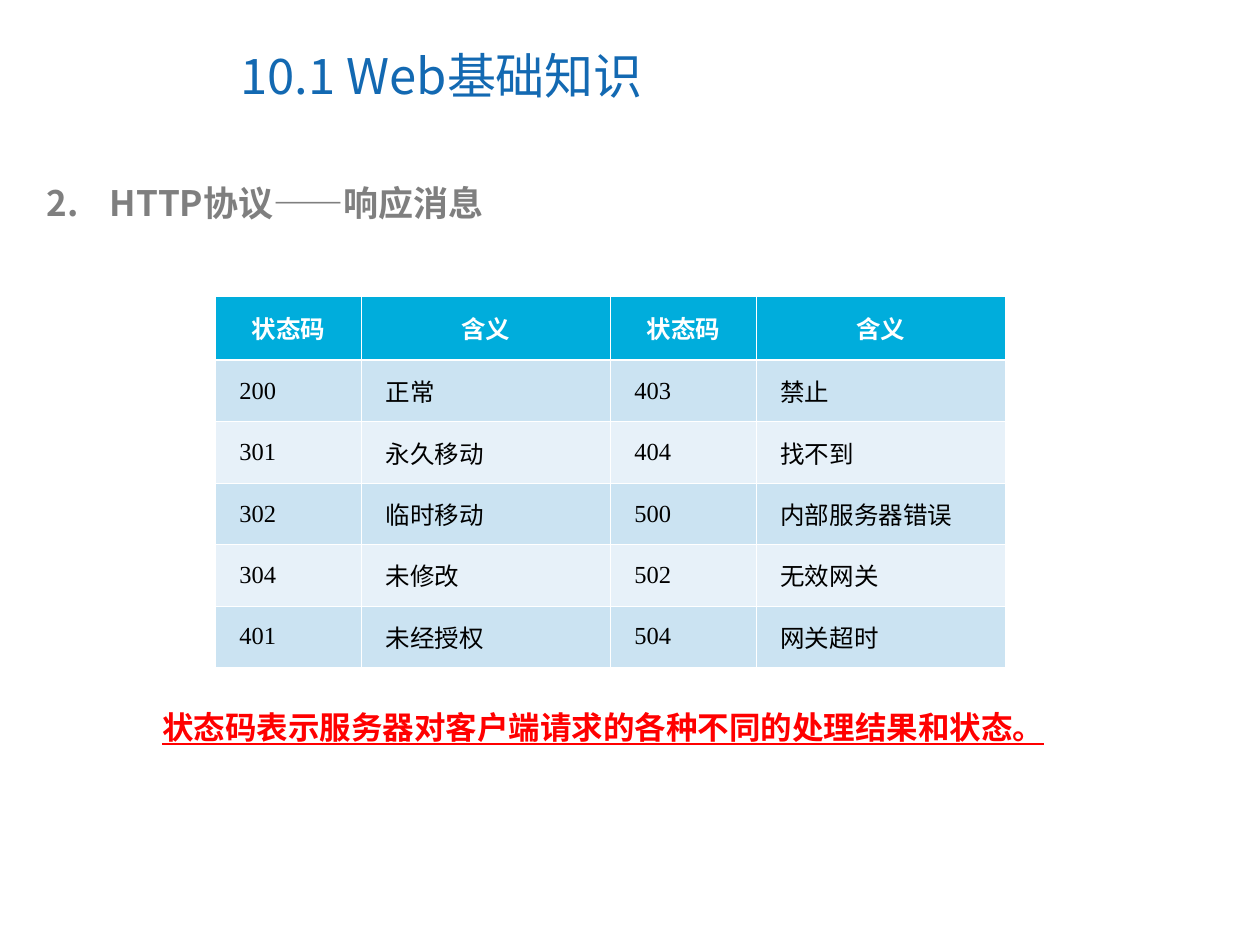
from lxml import etree
from pptx import Presentation, util as u
from pptx.dml.color import RGBColor
from pptx.enum import text
from pptx.oxml.ns import qn

BLUE = RGBColor(0x13, 0x69, 0xB2)
GREY = RGBColor(0x7F, 0x7F, 0x7F)
RED = RGBColor(0xFF, 0x00, 0x00)
WHITE = RGBColor(0xFF, 0xFF, 0xFF)
BLACK = RGBColor(0x00, 0x00, 0x00)
HEADER = RGBColor(0x00, 0xAD, 0xDC)
BANDS = [RGBColor(0xE7, 0xF1, 0xF9), RGBColor(0xCB, 0xE3, 0xF2)]
CJK = "Noto Sans CJK SC"


def style(p, font, size, color, bold=False, underline=None):
    for r in p.runs:
        r.font.name, r.font.size, r.font.bold = font, u.Pt(size), bold
        r.font.underline = underline
        r.font.color.rgb = color
        ea = etree.SubElement(r._r.get_or_add_rPr(), qn("a:ea"))
        ea.set("typeface", CJK)


def add_border(cell, side, width):
    ln = etree.SubElement(cell._tc.get_or_add_tcPr(), qn("a:" + side), w=str(u.Pt(width)))
    fill = etree.SubElement(ln, qn("a:solidFill"))
    etree.SubElement(fill, qn("a:srgbClr"), val=str(WHITE))


prs = Presentation()
prs.slide_width, prs.slide_height = u.Inches(10), u.Inches(7.5)
s = prs.slides.add_slide(prs.slide_layouts[1])

# Grid of 100 columns by 100 rows
col, row = prs.slide_width / 100, prs.slide_height / 100

# Title
sp = s.shapes.title
sp.left, sp.top = int(18.1 * col), int(2.27 * row)
sp.width, sp.height = int(51.6 * col), int(11.33 * row)
tf = sp.text_frame
tf.text = "10.1 Web基础知识"
tf.vertical_anchor = text.MSO_ANCHOR.MIDDLE
tf.auto_size = text.MSO_AUTO_SIZE.NONE
tf.paragraphs[0].alignment = text.PP_ALIGN.LEFT
style(tf.paragraphs[0], CJK, 28, BLUE)

# Numbered heading
sp = s.placeholders[1]
sp.left, sp.top = int(2.7 * col), int(18.53 * row)
sp.width, sp.height = int(92.2 * col), int(5.87 * row)
tf = sp.text_frame
tf.text = "HTTP协议——响应消息"
tf.auto_size = text.MSO_AUTO_SIZE.SHAPE_TO_FIT_TEXT
p = tf.paragraphs[0]
p.space_before = u.Pt(0)
pPr = p._p.get_or_add_pPr()
pPr.set("marL", str(u.Inches(0.5)))
pPr.set("indent", str(u.Inches(-0.5)))
bullet_color = etree.SubElement(pPr, qn("a:buClr"))
etree.SubElement(bullet_color, qn("a:srgbClr"), val=str(GREY))
etree.SubElement(pPr, qn("a:buFont"), typeface="+mj-lt")
etree.SubElement(pPr, qn("a:buAutoNum"), type="arabicPeriod", startAt="2")
style(p, CJK, 20, GREY, bold=True)

# Status code table
rows = [
    ["状态码", "含义", "状态码", "含义"],
    ["200", "正常", "403", "禁止"],
    ["301", "永久移动", "404", "找不到"],
    ["302", "临时移动", "500", "内部服务器错误"],
    ["304", "未修改", "502", "无效网关"],
    ["401", "未经授权", "504", "网关超时"],
]
table = s.shapes.add_table(len(rows), 4, int(17.1 * col), int(31.33 * row),
                           int(62.7 * col), int(39.3 * row)).table
for c, width in enumerate([11.6, 19.75] * 2):
    table.columns[c].width = int(width * col)
for i, values in enumerate(rows):
    head = i == 0
    table.rows[i].height = int((6.8 if head else 6.5) * row)
    for c, value in enumerate(values):
        cell = table.cell(i, c)
        cell.text_frame.text = value
        cell.vertical_anchor = text.MSO_ANCHOR.MIDDLE
        cell.margin_left = cell.margin_right = u.Inches(0.07)
        p = cell.text_frame.paragraphs[0]
        if head:
            p.alignment = text.PP_ALIGN.CENTER
        else:
            p._p.get_or_add_pPr().set("marL", str(u.Inches(0.12)))
        style(p, "Times New Roman", 14, WHITE if head else BLACK, bold=head)
        add_border(cell, "lnL", 0.45)
        add_border(cell, "lnR", 0.45)
        add_border(cell, "lnT", 1.47 if i == 1 else 0.45)
        add_border(cell, "lnB", 1.47 if head else 0.45)
        cell.fill.solid()
        cell.fill.fore_color.rgb = HEADER if head else BANDS[i % 2]

# Closing remark
sp = s.shapes.add_textbox(int(11.9 * col), int(74.27 * row), int(72.9 * col), int(5.33 * row))
tf = sp.text_frame
tf.word_wrap = True
tf.auto_size = text.MSO_AUTO_SIZE.SHAPE_TO_FIT_TEXT
tf.text = "状态码表示服务器对客户端请求的各种不同的处理结果和状态。"
style(tf.paragraphs[0], "Arial", 18, RED, bold=True, underline=True)

prs.save("out.pptx")
